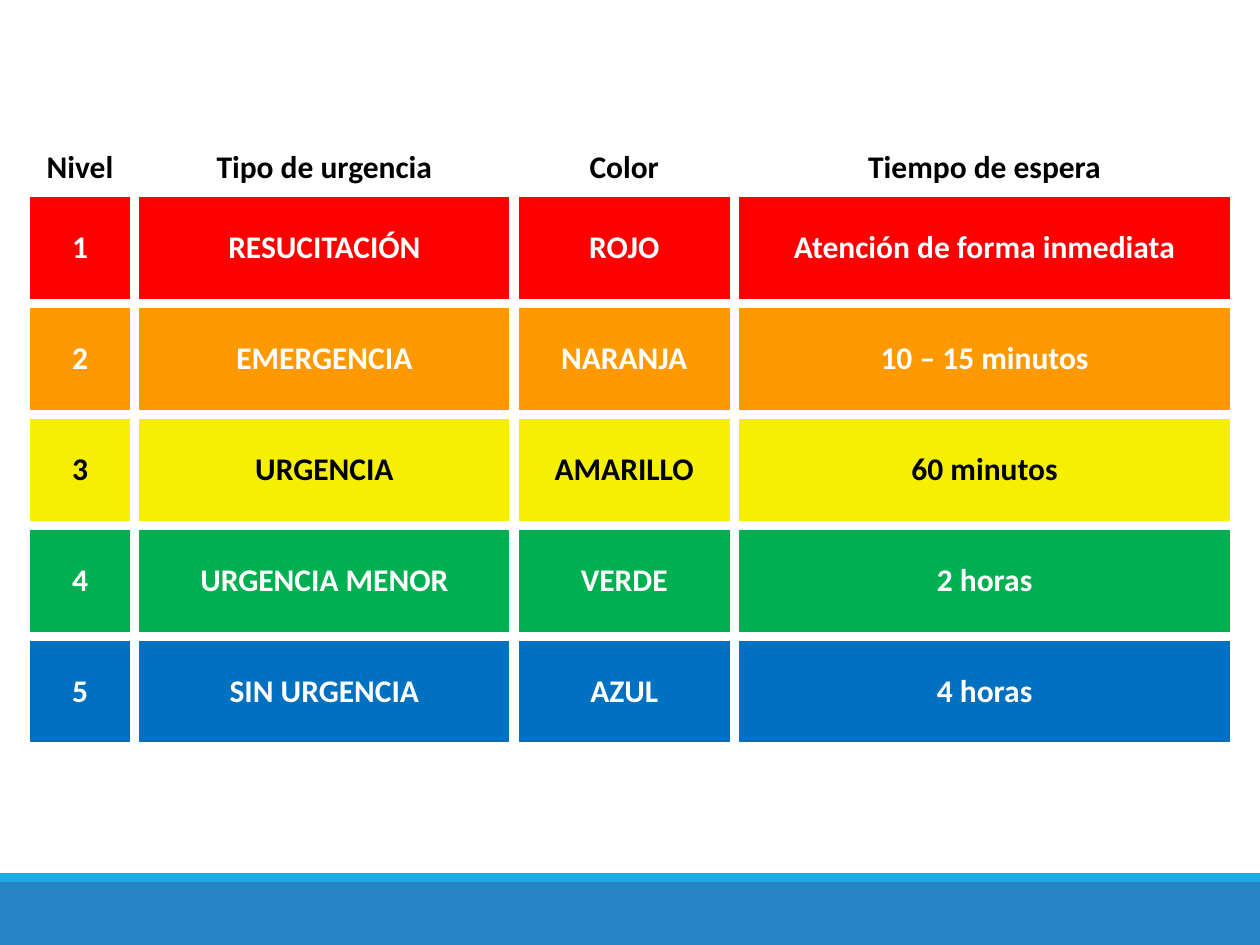
from lxml import etree
from pptx import Presentation
from pptx import util as u
from pptx.dml.color import RGBColor
from pptx.enum import shapes, text
from pptx.oxml import ns

WHITE = RGBColor(0xFF, 0xFF, 0xFF)
BLACK = RGBColor(0x00, 0x00, 0x00)
RED = RGBColor(0xFF, 0x00, 0x00)
ORANGE = RGBColor(0xFF, 0x99, 0x00)
YELLOW = RGBColor(0xF5, 0xEF, 0x03)
GREEN = RGBColor(0x00, 0xB0, 0x50)
BLUE = RGBColor(0x00, 0x70, 0xC0)
FOOTER_BLUE = RGBColor(0x26, 0x83, 0xC6)
FOOTER_ACCENT = RGBColor(0x1C, 0xAD, 0xE4)

COLUMN_WIDTHS = [0.87, 3.01, 1.75, 3.97]
ROW_HEIGHT = 0.88

# Fill, font colour and texts of each row
HEADER = (WHITE, BLACK, ["Nivel", "Tipo de urgencia", "Color", "Tiempo de espera"])
LEVELS = [
    (RED, WHITE, ["1", "RESUCITACIÓN", "ROJO", "Atención de forma inmediata"]),
    (ORANGE, WHITE, ["2", "EMERGENCIA", "NARANJA", "10 – 15 minutos"]),
    (YELLOW, BLACK, ["3", "URGENCIA", "AMARILLO", "60 minutos"]),
    (GREEN, WHITE, ["4", "URGENCIA MENOR", "VERDE", "2 horas"]),
    (BLUE, WHITE, ["5", "SIN URGENCIA", "AZUL", "4 horas"]),
]


class TriageSlide:
    font_name = "Calibri"
    font_size = u.Pt(18)
    border_width = u.Pt(6)

    def __init__(self, page):
        self.page = page

    def bar(self, top, height, color):
        box = self.page.shapes.add_shape(
            shapes.MSO_SHAPE.RECTANGLE, 0, u.Inches(top), u.Inches(10), u.Inches(height))
        box.shadow.inherit = False
        box.fill.solid()
        box.fill.fore_color.rgb = color
        box.line.fill.background()

    def borders(self, cell, color):
        properties = cell._tc.get_or_add_tcPr()
        for side in ("a:lnL", "a:lnR", "a:lnT", "a:lnB"):
            line = etree.SubElement(properties, ns.qn(side), w=str(self.border_width))
            fill = etree.SubElement(line, ns.qn("a:solidFill"))
            etree.SubElement(fill, ns.qn("a:srgbClr"), val=str(color))

    def cell(self, cell, words, fill, color, anchor):
        self.borders(cell, WHITE)
        cell.fill.solid()
        cell.fill.fore_color.rgb = fill
        cell.vertical_anchor = anchor
        para = cell.text_frame.paragraphs[0]
        para.alignment = text.PP_ALIGN.CENTER
        span = para.add_run()
        span.text = words
        span.font.name = self.font_name
        span.font.size = self.font_size
        span.font.bold = True
        span.font.color.rgb = color

    def table(self, left, top, widths, row_height, rows):
        table = self.page.shapes.add_table(
            len(rows), len(widths), u.Inches(left), u.Inches(top),
            u.Inches(sum(widths)), u.Inches(row_height * len(rows))).table
        for column, width in zip(table.columns, widths):
            column.width = u.Inches(width)
        for index, (fill, color, words) in enumerate(rows):
            table.rows[index].height = u.Inches(row_height)
            anchor = text.MSO_ANCHOR.MIDDLE if index else text.MSO_ANCHOR.BOTTOM
            for cell, word in zip(table.rows[index].cells, words):
                self.cell(cell, word, fill, color, anchor)


def main():
    deck = Presentation()
    deck.slide_width = u.Inches(10)
    deck.slide_height = u.Inches(7.5)
    # The slide has no title, so the blank layout fits
    slide = TriageSlide(deck.slides.add_slide(deck.slide_layouts[6]))

    # Footer bands
    slide.bar(7, 0.5, FOOTER_BLUE)
    slide.bar(6.93, 0.07, FOOTER_ACCENT)

    # Triage levels
    slide.table(0.2, 0.65, COLUMN_WIDTHS, ROW_HEIGHT, [HEADER] + LEVELS)

    deck.save("out.pptx")


if __name__ == "__main__":
    main()
